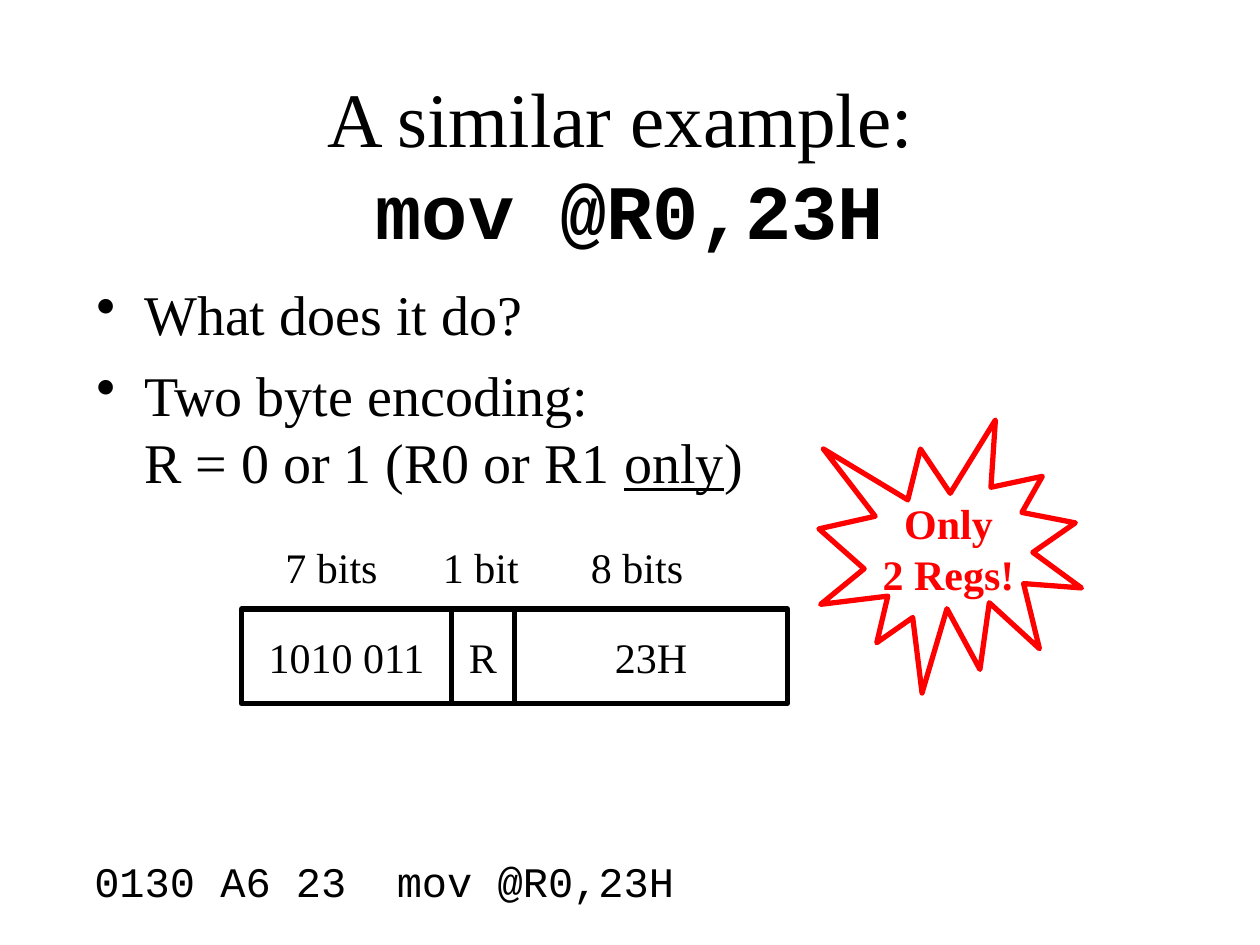
from lxml.etree import SubElement
from pptx import Presentation
from pptx.dml.color import RGBColor
from pptx.enum.shapes import MSO_SHAPE as Kind
from pptx.enum.text import MSO_ANCHOR as Anchor, MSO_AUTO_SIZE as Auto, PP_ALIGN as Align
from pptx.oxml.ns import qn
from pptx.util import Inches, Pt

BLACK = RGBColor(0, 0, 0)
WHITE = RGBColor(255, 255, 255)
RED = RGBColor(255, 0, 0)
SERIF = "Times New Roman"
MONO = "Courier New"

deck = Presentation()
deck.slide_width = Inches(10)
deck.slide_height = Inches(7.5)
COL = deck.slide_width // 120
ROW = deck.slide_height // 90
slide = deck.slides.add_slide(deck.slide_layouts[5])
shapes = slide.shapes


def style(para, size, color=BLACK, face=SERIF, bold=False):
    font = para.font
    font.name, font.size, font.bold = face, Pt(size), bold
    font.color.rgb = color


def draw(kind, x, y, w, h, text, color=BLACK, bold=False):
    shape = shapes.add_shape(kind, int(x * COL), int(y * ROW), int(w * COL), int(h * ROW))
    shape.shadow.inherit = False
    shape.fill.solid()
    shape.fill.fore_color.rgb = WHITE
    shape.line.color.rgb = color
    shape.line.width = Pt(3)
    frame = shape.text_frame
    frame.text = text
    frame.word_wrap = False
    frame.vertical_anchor = Anchor.MIDDLE
    for para in frame.paragraphs:
        para.alignment = Align.CENTER
        style(para, 24, color, bold=bold)


title = shapes.title
title.left, title.top, title.width, title.height = 9 * COL, 8 * ROW, 102 * COL, 15 * ROW
frame = title.text_frame
frame.auto_size = Auto.NONE
frame.vertical_anchor = Anchor.MIDDLE
para = frame.paragraphs[0]
para.alignment = Align.CENTER
style(para, 44)
para.add_run().text = "A similar example: "
para.add_line_break()
code = para.add_run()
code.text = "mov @R0,23H"
code.font.name = MONO
code.font.bold = True

body = shapes.add_textbox(8 * COL, 26 * ROW, 102 * COL, 40 * ROW)
frame = body.text_frame
frame.word_wrap = True
frame.text = "What does it do?\nTwo byte encoding:\vR = 0 or 1 (R0 or R1 "
for para in frame.paragraphs:
    props = para._p.get_or_add_pPr()
    props.set("marL", str(Inches(0.38)))
    props.set("indent", str(-Inches(0.38)))
    SubElement(props, qn("a:buChar")).set("char", "•")
    style(para, 32)
last = frame.paragraphs[1]
last.space_before = Pt(8)
only = last.add_run()
only.text = "only"
only.font.underline = True
last.add_run().text = ")"

left = 23
for text, wide in ("1010 011", 20), ("R", 6), ("23H", 26):
    draw(Kind.RECTANGLE, left, 58, wide, 9, text)
    left += wide

draw(Kind.EXPLOSION1, 78, 40, 25, 26, "Only\n2 Regs!", RED, True)

for text, x, y, wide, face in (
    ("7 bits", 26, 51, 11.2, SERIF),
    ("1 bit", 41, 51, 11.2, SERIF),
    ("8 bits", 55.1, 51, 11.2, SERIF),
    ("0130 A6 23  mov @R0,23H", 7.8, 80.9, 57.6, MONO),
):
    box = shapes.add_textbox(int(x * COL), int(y * ROW), int(wide * COL), 6 * ROW)
    frame = box.text_frame
    frame.text = text
    frame.word_wrap = False
    style(frame.paragraphs[0], 24, face=face)

deck.save("out.pptx")
